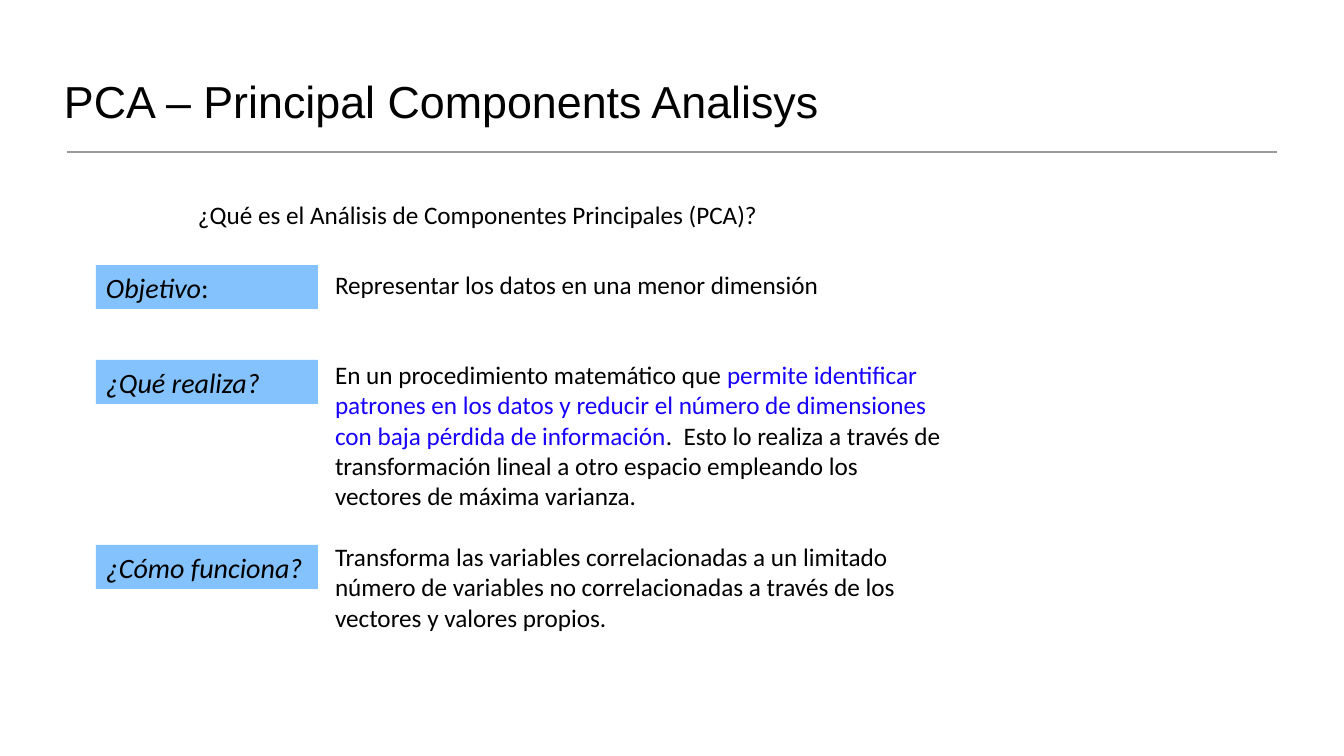
from pptx import Presentation, util as u
from pptx.dml.color import RGBColor
from pptx.enum import shapes, text
from pptx.oxml import xmlchemy

COLOURS = {"ink": "000000", "accent": "1800FF", "label": "83C2FD", "rule": "9A9A9A"}
EMU_PER_PX = 914400 / 100.8


def px(length):
    return u.Emu(round(length * EMU_PER_PX))


def colour(name):
    return RGBColor.from_string(COLOURS[name])


class SlideBuilder:
    def __init__(self, slide):
        self.slide = slide

    def set_text(self, shape, paragraphs, size, font="Calibri", insets=(10, 5, 10, 5),
                 anchor=text.MSO_ANCHOR.TOP, italic=False):
        """Fill a shape; each paragraph is (space before, [(words, colour, italic)])."""
        frame = shape.text_frame
        frame.word_wrap = True
        frame.vertical_anchor = anchor
        (frame.margin_left, frame.margin_top,
         frame.margin_right, frame.margin_bottom) = map(px, insets)
        for index, (space, runs) in enumerate(paragraphs):
            paragraph = frame.add_paragraph() if index else frame.paragraphs[0]
            paragraph.alignment = text.PP_ALIGN.LEFT
            if space:
                paragraph.space_before = u.Pt(space)
            paragraph.font.name = font
            paragraph.font.size = u.Pt(size)
            paragraph.font.italic = italic
            paragraph.font.color.rgb = colour("ink")
            for words, ink, slanted in runs:
                run = paragraph.add_run()
                run.text = words
                if ink != "ink":
                    run.font.color.rgb = colour(ink)
                if slanted != italic:
                    run.font.italic = slanted

    def text_box(self, box, paragraphs, size, **style):
        shape = self.slide.shapes.add_textbox(*map(px, box))
        self.set_text(shape, paragraphs, size, **style)

    def label(self, box, runs):
        shape = self.slide.shapes.add_shape(shapes.MSO_SHAPE.RECTANGLE, *map(px, box))
        shape.shadow.inherit = False
        shape.fill.solid()
        shape.fill.fore_color.rgb = colour("label")
        shape.line.fill.background()
        self.set_text(shape, [(0, runs)], 20, italic=True)

    def rule(self, left, right, top):
        line = self.slide.shapes.add_connector(
            shapes.MSO_CONNECTOR.STRAIGHT, *map(px, (left, top, right, top)))
        line.line.color.rgb = colour("rule")
        line.line.width = u.Pt(1)
        line._element.spPr.append(xmlchemy.OxmlElement("a:effectLst"))


def main():
    presentation = Presentation()
    presentation.slide_width, presentation.slide_height = px(1344), px(756)
    builder = SlideBuilder(presentation.slides.add_slide(presentation.slide_layouts[6]))

    builder.rule(67, 1277, 152)
    answers = [
        (0, [("Representar los datos en una menor dimensión", "ink", False)]),
        (43, [
            ("En un procedimiento matemático que ", "ink", False),
            ("permite identificar patrones en los datos y reducir el número de "
             "dimensiones con baja pérdida de información", "accent", False),
            (".  Esto lo realiza a través de transformación lineal a otro espacio "
             "empleando los vectores de máxima varianza.", "ink", False)]),
        (22, [("Transforma las variables correlacionadas a un limitado número de "
               "variables no correlacionadas a través de los vectores y valores "
               "propios.", "ink", False)]),
    ]
    builder.text_box((297, 265, 658, 374), answers, 18, insets=(38, 4, 7, 4))

    labels = [
        (265, [("Objetivo", "ink", True), (":", "ink", False)]),
        (360, [("¿Qué realiza?", "ink", True)]),
        (545, [("¿Cómo funciona?", "ink", True)]),
    ]
    for top, runs in labels:
        builder.label((96, top, 222, 44), runs)

    question = "¿Qué es el Análisis de Componentes Principales (PCA)?"
    builder.text_box((162, 195, 802, 39), [(0, [(question, "ink", False)])], 18,
                     insets=(36, 4, 7, 4))
    title = "PCA – Principal Components Analisys"
    builder.text_box((58, 25, 1227, 108), [(0, [(title, "ink", False)])], 32,
                     font="Arial", insets=(6, 6, 6, 6), anchor=text.MSO_ANCHOR.BOTTOM)

    presentation.save("out.pptx")


if __name__ == "__main__":
    main()
